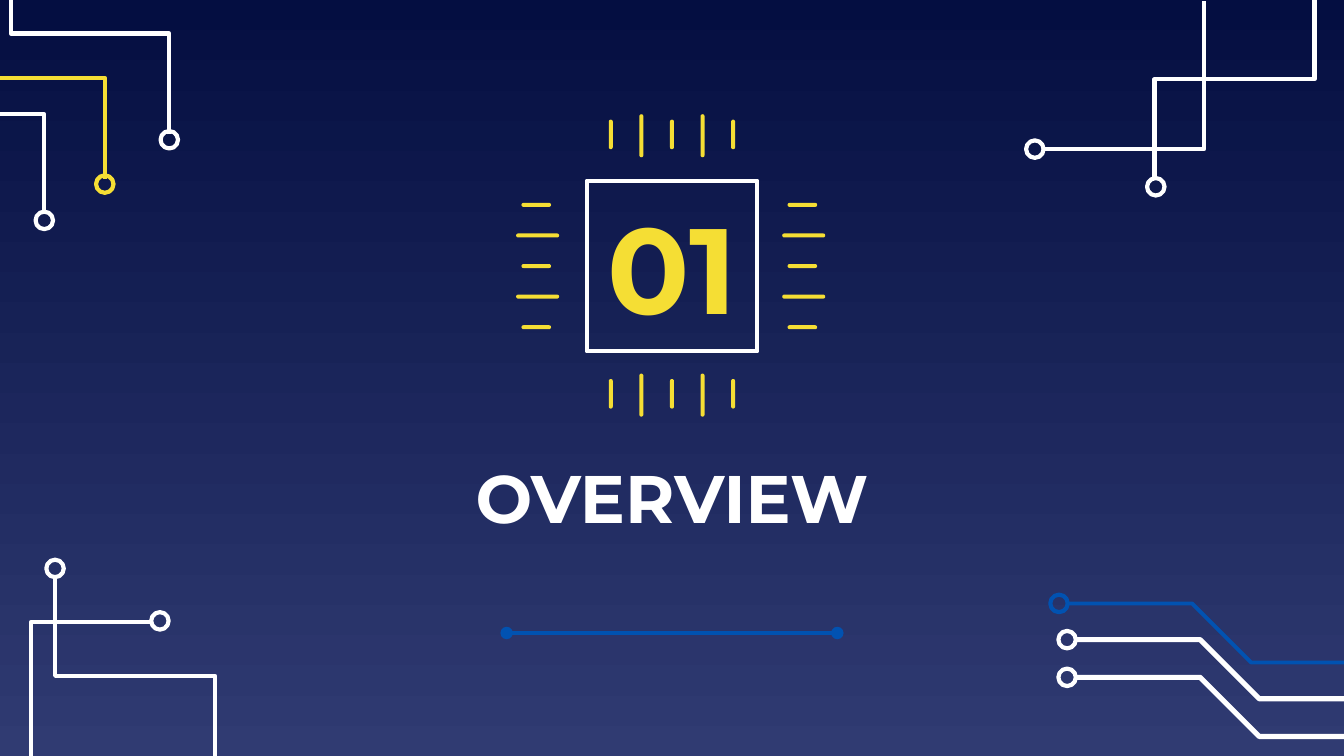
from lxml.etree import SubElement
from pptx import Presentation
from pptx.dml.color import RGBColor
from pptx.enum.shapes import MSO_CONNECTOR, MSO_SHAPE
from pptx.enum.text import MSO_ANCHOR, MSO_AUTO_SIZE, PP_ALIGN
from pptx.oxml.ns import qn
from pptx.util import Inches, Pt

WHITE = RGBColor(0xFF, 0xFF, 0xFF)
YELLOW = RGBColor(0xF5, 0xDE, 0x34)
BLUE = RGBColor(0x01, 0x52, 0xB1)
NIGHT = RGBColor(0x04, 0x0E, 0x41)
DUSK = RGBColor(0x30, 0x3B, 0x72)

WIDTH = 10
HEIGHT = WIDTH * 9 / 16
FONT = "Montserrat"
LINE = 2.25
RING = 0.13

TITLE = "OVERVIEW"
NUMBER = "01"

BENT_TRACES = [
    (WHITE, (0.41, 4.23), [(0.41, 4.28), (0.41, 5.03), (1.6, 5.03), (1.6, HEIGHT)]),
    (WHITE, (1.19, 4.62), [(1.13, 4.63), (0.23, 4.63), (0.23, HEIGHT)]),
    (WHITE, (7.7, 1.11), [(7.75, 1.11), (8.96, 1.11), (8.96, 0.01)]),
    (WHITE, (8.6, 1.39), [(8.59, 1.33), (8.59, 0.59), (9.78, 0.59), (9.78, 0)]),
    (WHITE, (0.33, 1.64), [(0.33, 1.59), (0.33, 0.85), (0, 0.85)]),
    (YELLOW, (0.78, 1.37), [(0.78, 1.33), (0.78, 0.58), (0, 0.58)]),
    (WHITE, (1.26, 1.04), [(1.26, 1), (1.26, 0.25), (0.08, 0.25), (0.08, 0)]),
]
SLOPED_TRACES = [(BLUE, 7.88, 4.49, 2), (WHITE, 7.94, 4.76, 2.75), (WHITE, 7.94, 5.04, 2.75)]
RUN, SLOPE = 0.99, 0.44

CHIP_CENTER = (5, 1.98)
CHIP_SIZE = 1.27
SHORT_PIN, LONG_PIN = (0.22, 0), (0.32, 0.01)
PINS = [SHORT_PIN, LONG_PIN, SHORT_PIN, LONG_PIN, SHORT_PIN]
PIN_SPAN = 0.91
PIN_WIDTH = 0.03
PIN_BANKS = [("row", 1), ("row", 2.93), ("column", 3.99), ("column", 5.97)]


def format_text(shape, text, size, color):
    frame = shape.text_frame
    frame.auto_size = MSO_AUTO_SIZE.NONE
    frame.word_wrap = True
    frame.vertical_anchor = MSO_ANCHOR.MIDDLE
    frame.margin_left = frame.margin_right = Inches(0.1)
    frame.margin_top = frame.margin_bottom = Inches(0.1)
    paragraph = frame.paragraphs[0]
    paragraph.alignment = PP_ALIGN.CENTER
    run = paragraph.add_run()
    run.text = text
    run.font.name = FONT
    run.font.size = Pt(size)
    run.font.bold = True
    run.font.color.rgb = color


def style_outline(shape, color, width=LINE):
    shape.shadow.inherit = False
    shape.fill.background()
    shape.line.color.rgb = color
    shape.line.width = Pt(width)


def add_centered(slide, kind, center, width, height):
    left, top = center[0] - width / 2, center[1] - height / 2
    return slide.shapes.add_shape(kind, Inches(left), Inches(top), Inches(width), Inches(height))


def add_trace(slide, color, ring_center, points, width=LINE):
    corners = [(Inches(x), Inches(y)) for x, y in points]
    builder = slide.shapes.build_freeform(*corners[0])
    builder.add_line_segments(corners[1:], close=False)
    style_outline(builder.convert_to_shape(), color, width)
    style_outline(add_centered(slide, MSO_SHAPE.OVAL, ring_center, RING, RING), color)


def add_sloped_trace(slide, color, x, y, width):
    bend = x + RUN
    foot = bend + SLOPE
    points = [(x + RING / 2, y), (bend, y), (foot, y + SLOPE), (WIDTH, y + SLOPE)]
    add_trace(slide, color, (x, y), points, width)


def add_pin_bank(slide, direction, position):
    gap = PIN_SPAN / (len(PINS) - 1)
    for index, (length, shift) in enumerate(PINS):
        offset = index * gap - PIN_SPAN / 2
        if direction == "row":
            center, size = (CHIP_CENTER[0] + offset, position + shift), (PIN_WIDTH, length)
        else:
            center, size = (position + shift, CHIP_CENTER[1] + offset), (length, PIN_WIDTH)
        pin = add_centered(slide, MSO_SHAPE.ROUNDED_RECTANGLE, center, *size)
        pin.adjustments[0] = 0.5
        pin.shadow.inherit = False
        pin.fill.solid()
        pin.fill.fore_color.rgb = YELLOW
        pin.line.fill.background()


def add_divider(slide, left, right, y):
    divider = slide.shapes.add_connector(
        MSO_CONNECTOR.STRAIGHT, Inches(left), Inches(y), Inches(right), Inches(y))
    divider.line.color.rgb = BLUE
    divider.line.width = Pt(LINE)
    line = divider.line._get_or_add_ln()
    for end in ("a:headEnd", "a:tailEnd"):
        SubElement(line, qn(end), type="oval")
    SubElement(divider._element.spPr, qn("a:effectLst"))


def main():
    presentation = Presentation()
    presentation.slide_width = Inches(WIDTH)
    presentation.slide_height = Inches(HEIGHT)
    slide = presentation.slides.add_slide(presentation.slide_layouts[5])

    background = slide.background.fill
    background.gradient()
    background.gradient_angle = 270
    for stop, color, position in zip(background.gradient_stops, (NIGHT, DUSK), (0, 1)):
        stop.color.rgb = color
        stop.position = position

    for trace in SLOPED_TRACES:
        add_sloped_trace(slide, *trace)
    for trace in BENT_TRACES:
        add_trace(slide, *trace)

    title = slide.shapes.title
    title.left, title.top = Inches(2.68), Inches(3.36)
    title.width, title.height = Inches(4.64), Inches(0.67)
    format_text(title, TITLE, size=36, color=WHITE)

    chip = add_centered(slide, MSO_SHAPE.RECTANGLE, CHIP_CENTER, CHIP_SIZE, CHIP_SIZE)
    style_outline(chip, WHITE)
    format_text(chip, NUMBER, size=65, color=YELLOW)

    add_divider(slide, 3.77, 6.23, 4.71)
    for bank in PIN_BANKS:
        add_pin_bank(slide, *bank)

    presentation.save("out.pptx")


if __name__ == "__main__":
    main()
